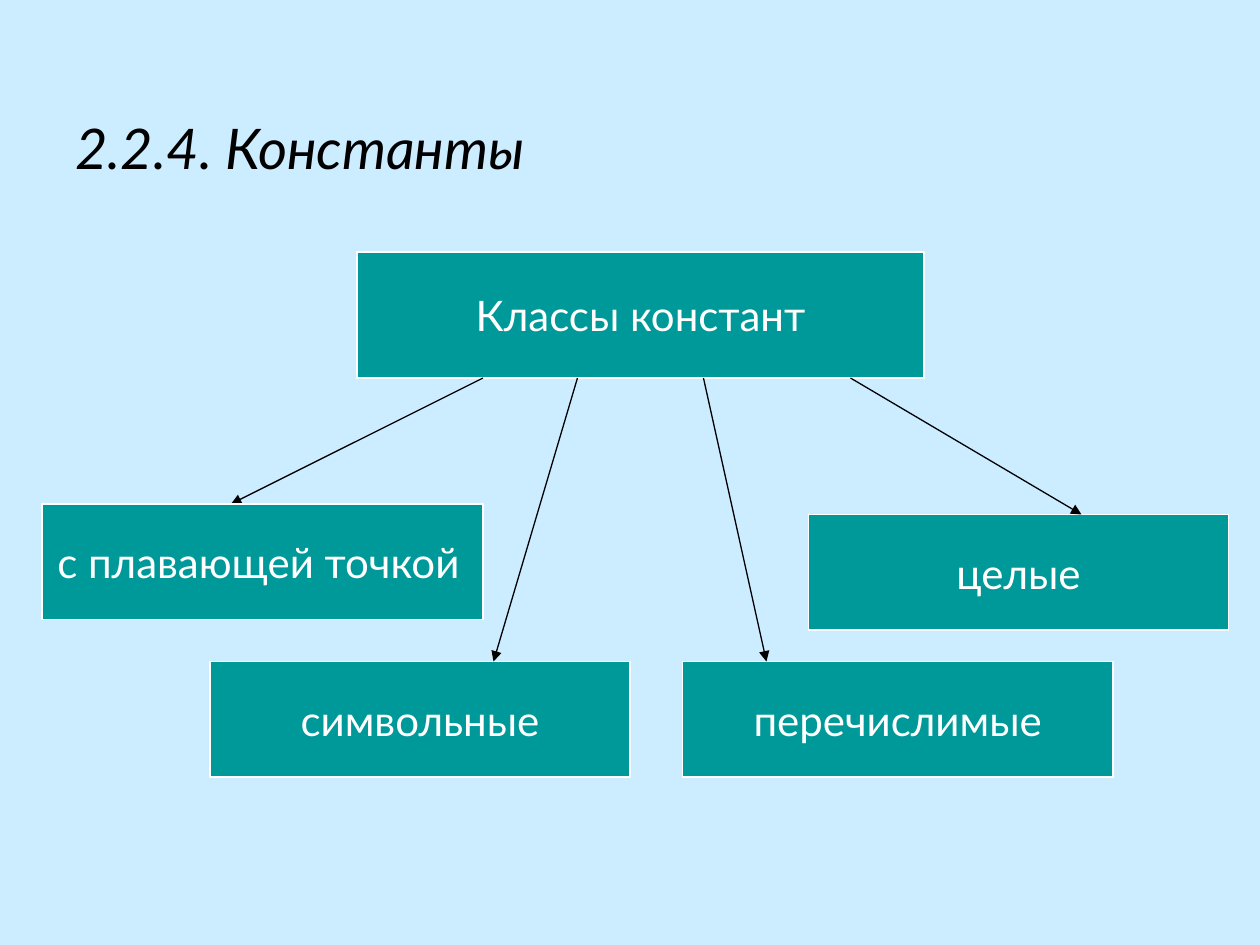
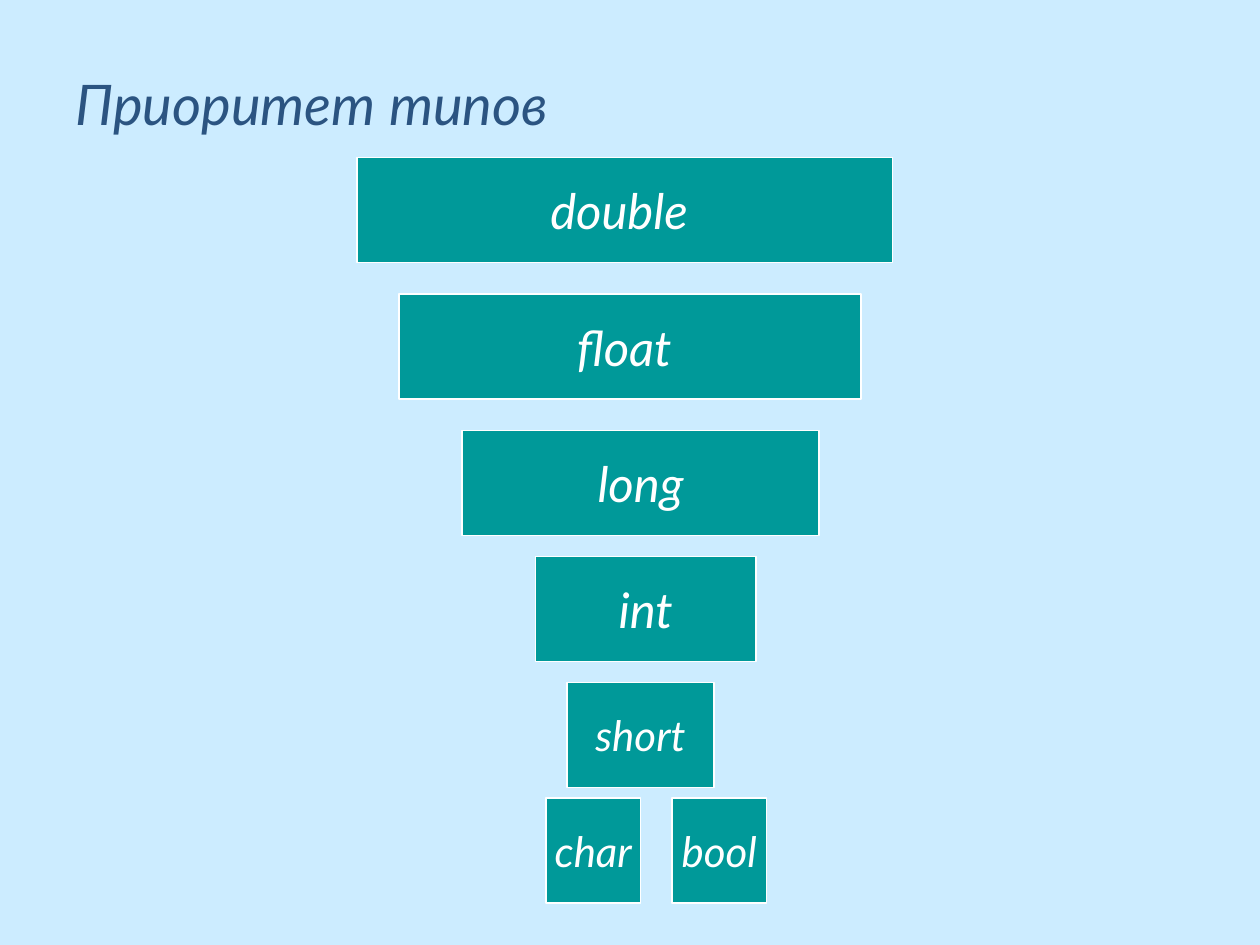
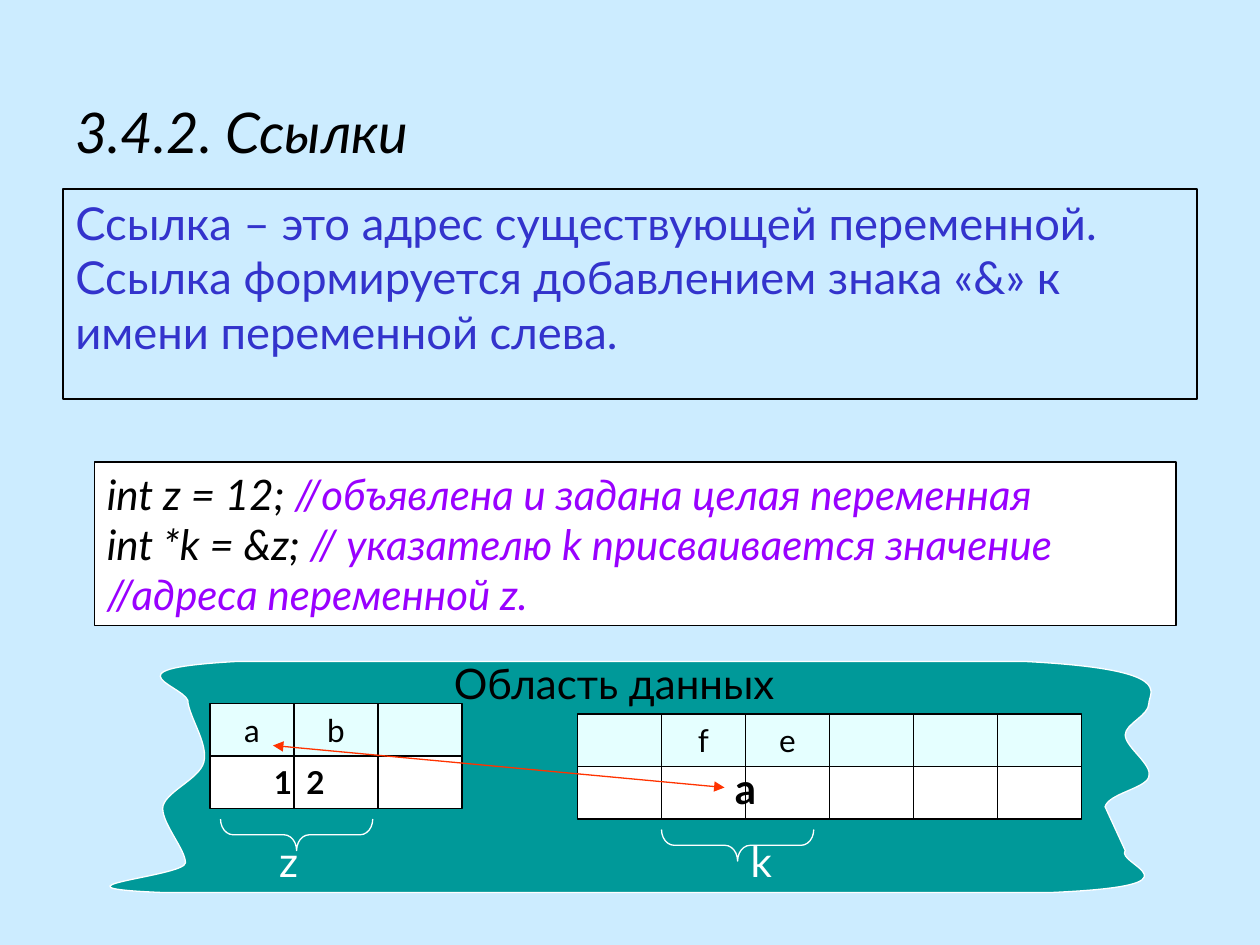
"""Build three slides on C++ constants, type priority and references."""
from dataclasses import dataclass, replace
from typing import Optional

from lxml import etree
from pptx import Presentation
from pptx.dml.color import RGBColor
from pptx.enum.shapes import MSO_CONNECTOR, MSO_SHAPE
from pptx.enum.text import MSO_ANCHOR, PP_ALIGN
from pptx.oxml.ns import qn
from pptx.util import Pt

RECT, BRACE = MSO_SHAPE.RECTANGLE, MSO_SHAPE.LEFT_BRACE
STRAIGHT = MSO_CONNECTOR.STRAIGHT
LEFT, CENTER, RIGHT = PP_ALIGN.LEFT, PP_ALIGN.CENTER, PP_ALIGN.RIGHT
TOP, MIDDLE = MSO_ANCHOR.TOP, MSO_ANCHOR.MIDDLE

SKY = RGBColor(0xCC, 0xEC, 0xFF)
TEAL = RGBColor(0x00, 0x99, 0x99)
WHITE = RGBColor(0xFF, 0xFF, 0xFF)
BLACK = RGBColor(0x00, 0x00, 0x00)
NAVY = RGBColor(0x2B, 0x54, 0x81)
BLUE = RGBColor(0x33, 0x33, 0xCC)
PURPLE = RGBColor(0x99, 0x00, 0xFF)
PALE = RGBColor(0xE5, 0xFF, 0xFF)
RED = RGBColor(0xFF, 0x33, 0x00)

FONT = "Lato"
LINE_WIDTH = Pt(0.75)
CELL_W, CELL_H = 48, 30


@dataclass(frozen=True)
class TextStyle:
    """Look and placement of the text in a box."""
    size: float = 24
    color: RGBColor = WHITE
    bold: bool = False
    italic: bool = False
    align: PP_ALIGN = CENTER
    anchor: MSO_ANCHOR = MIDDLE
    wrap: bool = False


@dataclass(frozen=True)
class Box:
    """Text with its place in points."""
    text: str
    left: float
    top: float
    width: float
    height: float


@dataclass(frozen=True)
class Arrow:
    """Straight arrow between two points."""
    x1: float
    y1: float
    x2: float
    y2: float


@dataclass(frozen=True)
class Value:
    """Content of a memory cell."""
    text: str = ""
    align: PP_ALIGN = CENTER
    width: float = CELL_W


@dataclass(frozen=True)
class MemoryGrid:
    """Row of names above a row of values."""
    left: float
    top: float
    names: tuple[str, ...]
    values: tuple[Value, ...]


NODE = TextStyle()
TYPE_LARGE = TextStyle(size=28, italic=True)
TYPE_SMALL = TextStyle(italic=True)
TITLE = TextStyle(32, BLACK, italic=True, align=LEFT, wrap=True)
SUBTITLE = replace(TITLE, color=NAVY, anchor=TOP)
DEFINITION = TextStyle(25.9, BLUE, align=LEFT, anchor=TOP, wrap=True)
CODE = TextStyle(24, BLACK, italic=True, align=LEFT, anchor=TOP, wrap=True)
LABEL = TextStyle(anchor=TOP, wrap=True)
DARK_LABEL = replace(LABEL, color=BLACK)
CELL = TextStyle(18, BLACK)

ROOT = Box("Классы констант", 204, 144, 324, 72)
FLOATING = Box("с плавающей точкой", 24, 288, 252, 66)
CLASSES = (
    Box("символьные", 120, 378, 240, 66),
    Box("целые", 462, 294, 240, 66),
    Box("перечислимые", 390, 378, 246, 66),
)
FLOATING_ARROW = Arrow(276, 216, 132, 288)
CLASS_ARROWS = (
    Arrow(486, 216, 618, 294),
    Arrow(330, 216, 282, 378),
    Arrow(402, 216, 438, 378),
)
LARGE_TYPES = (
    Box("double ", 204, 90, 306, 60),
    Box("float ", 228, 168, 264, 60),
    Box("long", 264, 246, 204, 60),
    Box("int", 306, 318, 126, 60),
)
SMALL_TYPES = (
    Box("char", 312, 456, 54, 60),
    Box("short", 324, 390, 84, 60),
    Box("bool", 384, 456, 54, 60),
)
CODE_LINES = (
    ("int z = 12; ", "//объявлена и задана целая переменная"),
    ("int *k = &z; ",
     "// указателю k присваивается значение //адреса переменной z."),
)
GRIDS = (
    MemoryGrid(120, 402, ("a", "b", ""),
               (Value("1", RIGHT, 54), Value("2", LEFT), Value())),
    MemoryGrid(330, 408, ("", "f", "e", "", "", ""), (Value(),) * 6),
)
SCROLL_START = (135, 378)
SCROLL = (
    ((55.5, 382.5), (110, 392.5), (107.5, 402)),
    ((109.5, 412), (119, 425.5), (116.5, 435.5)),
    ((114, 445.5), (93, 453), (93, 462)),
    ((93, 471), (106, 485.5), (106, 493)),
    ((106, 501), (18, 507), (93, 510)),
    ((600.5, 510),),
    ((692, 506), (637, 494), (643, 486)),
    ((631.5, 461),),
    ((633.5, 453.5), (654.5, 450.5), (656.5, 444)),
    ((659, 437), (643, 427), (643, 420)),
    ((643, 413.5), (656.5, 409), (656.5, 402)),
    ((656.5, 395.5), (673, 382.5), (586, 378)),
)


def paint(sp, fill: Optional[RGBColor], line: RGBColor) -> None:
    """Set the fill and outline of a shape and drop its shadow."""
    sp.shadow.inherit = False
    if fill is None:
        sp.fill.background()
    else:
        sp.fill.solid()
        sp.fill.fore_color.rgb = fill
    sp.line.color.rgb = line
    sp.line.width = LINE_WIDTH


def style_run(r, style: TextStyle) -> None:
    """Apply a text style to a run."""
    r.font.name = FONT
    r.font.size = Pt(style.size)
    r.font.bold = style.bold
    r.font.italic = style.italic
    r.font.color.rgb = style.color


def append_run(p, text: str, style: TextStyle) -> None:
    """Add a styled run at the end of a paragraph."""
    r = p.add_run()
    r.text = text
    style_run(r, style)


def write(sp, text: str, style: TextStyle) -> None:
    """Put styled text in a shape."""
    tf = sp.text_frame
    tf.word_wrap = style.wrap
    tf.vertical_anchor = style.anchor
    tf.text = text
    for p in tf.paragraphs:
        p.alignment = style.align
        for r in p.runs:
            style_run(r, style)


def place(box: Box) -> tuple[Pt, ...]:
    """Return the place of a box as lengths."""
    return tuple(Pt(v) for v in (box.left, box.top, box.width, box.height))


def add_label(slide, box: Box, style: TextStyle) -> None:
    """Add plain text."""
    write(slide.shapes.add_textbox(*place(box)), box.text, style)


def add_box(slide, box: Box, style: TextStyle,
            fill: Optional[RGBColor] = TEAL, line: RGBColor = WHITE):
    """Add an outlined rectangle with text."""
    sp = slide.shapes.add_shape(RECT, *place(box))
    paint(sp, fill, line)
    if box.text:
        write(sp, box.text, style)
    return sp


def add_arrow(slide, arrow: Arrow, color: RGBColor = BLACK,
              ends: tuple[str, ...] = ("a:tailEnd",)) -> None:
    """Add a line with triangles at the given ends."""
    sp = slide.shapes.add_connector(
        STRAIGHT, Pt(arrow.x1), Pt(arrow.y1), Pt(arrow.x2), Pt(arrow.y2))
    sp.line.color.rgb = color
    sp.line.width = LINE_WIDTH
    spPr = sp.element.spPr
    for end in ends:
        etree.SubElement(spPr.find(qn("a:ln")), qn(end), type="triangle")
    etree.SubElement(spPr, qn("a:effectLst"))


def add_scroll(slide) -> None:
    """Add the wavy data area, joining each three points into a curve."""
    builder = slide.shapes.build_freeform(*(Pt(v) for v in SCROLL_START))
    builder.add_line_segments(
        [(Pt(x), Pt(y)) for segment in SCROLL for x, y in segment], close=True)
    sp = builder.convert_to_shape()
    paint(sp, TEAL, WHITE)
    lines = iter(list(sp.element.iter(qn("a:lnTo"))))
    for segment in SCROLL:
        parts = [next(lines) for _ in segment]
        if len(parts) == 3:
            curve = etree.Element(qn("a:cubicBezTo"))
            parts[0].addprevious(curve)
            for part in parts:
                curve.append(part[0])
                part.getparent().remove(part)


def add_grid(slide, grid: MemoryGrid) -> None:
    """Add the memory cells of a grid."""
    for col, value in enumerate(grid.values):
        box = Box(value.text, grid.left + col * CELL_W, grid.top + CELL_H,
                  value.width, CELL_H)
        add_box(slide, box, replace(CELL, bold=True, align=value.align),
                WHITE, BLACK)
    for col, name in enumerate(grid.names):
        box = Box(name, grid.left + col * CELL_W, grid.top, CELL_W, CELL_H)
        add_box(slide, box, CELL, PALE, BLACK)


def add_brace(slide, left: float, top: float) -> None:
    """Add a brace that points down."""
    sp = slide.shapes.add_shape(BRACE, Pt(left), Pt(top), Pt(18), Pt(87))
    sp.rotation = 270
    sp.adjustments[0] = 0.4
    paint(sp, None, WHITE)


def add_code(slide) -> None:
    """Add the code sample with coloured comments."""
    sp = add_box(slide, Box("\n".join(code for code, _ in CODE_LINES),
                            54, 264, 618, 93.6), CODE, WHITE, BLACK)
    for p, (_, comment) in zip(sp.text_frame.paragraphs, CODE_LINES):
        append_run(p, comment, replace(CODE, color=PURPLE))


def build_constants(slide) -> None:
    """Draw the classes of constants."""
    add_label(slide, Box("2.2.4. Константы", 36, 30, 648, 108), TITLE)
    add_box(slide, ROOT, NODE)
    add_arrow(slide, FLOATING_ARROW)
    sp = add_box(slide, FLOATING, NODE)
    append_run(sp.text_frame.paragraphs[0], " ", replace(NODE, size=18))
    for box in CLASSES:
        add_box(slide, box, NODE)
    for arrow in CLASS_ARROWS:
        add_arrow(slide, arrow)


def build_priority(slide) -> None:
    """Draw the priority of types."""
    add_label(slide, Box("Приоритет типов", 36, 36, 648, 444), SUBTITLE)
    for style, boxes in ((TYPE_LARGE, LARGE_TYPES), (TYPE_SMALL, SMALL_TYPES)):
        for box in boxes:
            add_box(slide, box, style)


def build_references(slide) -> None:
    """Draw the definition of a reference and the data area."""
    add_label(slide, Box("3.4.2. Ссылки", 36, 42, 648, 66), TITLE)
    definition = ("Ссылка – это адрес существующей переменной. "
                  "Ссылка формируется добавлением знака «&» к имени "
                  "переменной слева.")
    add_box(slide, Box(definition, 36, 108, 648, 120), DEFINITION, None, BLACK)
    add_code(slide)
    add_scroll(slide)
    for grid in GRIDS:
        add_grid(slide, grid)
    add_brace(slide, 412.5, 439.5)
    add_label(slide, Box("z", 120, 474, 90, 36), LABEL)
    add_brace(slide, 160.5, 433.5)
    add_label(slide, Box("k", 390, 474, 90, 36), LABEL)
    add_label(slide, Box("a", 390, 432, 72, 36), replace(DARK_LABEL, bold=True))
    add_label(slide, Box("Область данных", 138, 372, 426, 36), DARK_LABEL)
    add_arrow(slide, Arrow(156, 426, 414, 450), RED, ("a:headEnd", "a:tailEnd"))


def main() -> None:
    """Build and save the presentation."""
    prs = Presentation()
    prs.slide_width, prs.slide_height = Pt(720), Pt(540)
    background = prs.slide_master.background.fill
    background.solid()
    background.fore_color.rgb = SKY
    for build in (build_constants, build_priority, build_references):
        build(prs.slides.add_slide(prs.slide_layouts[6]))
    prs.save("out.pptx")


if __name__ == "__main__":
    main()
